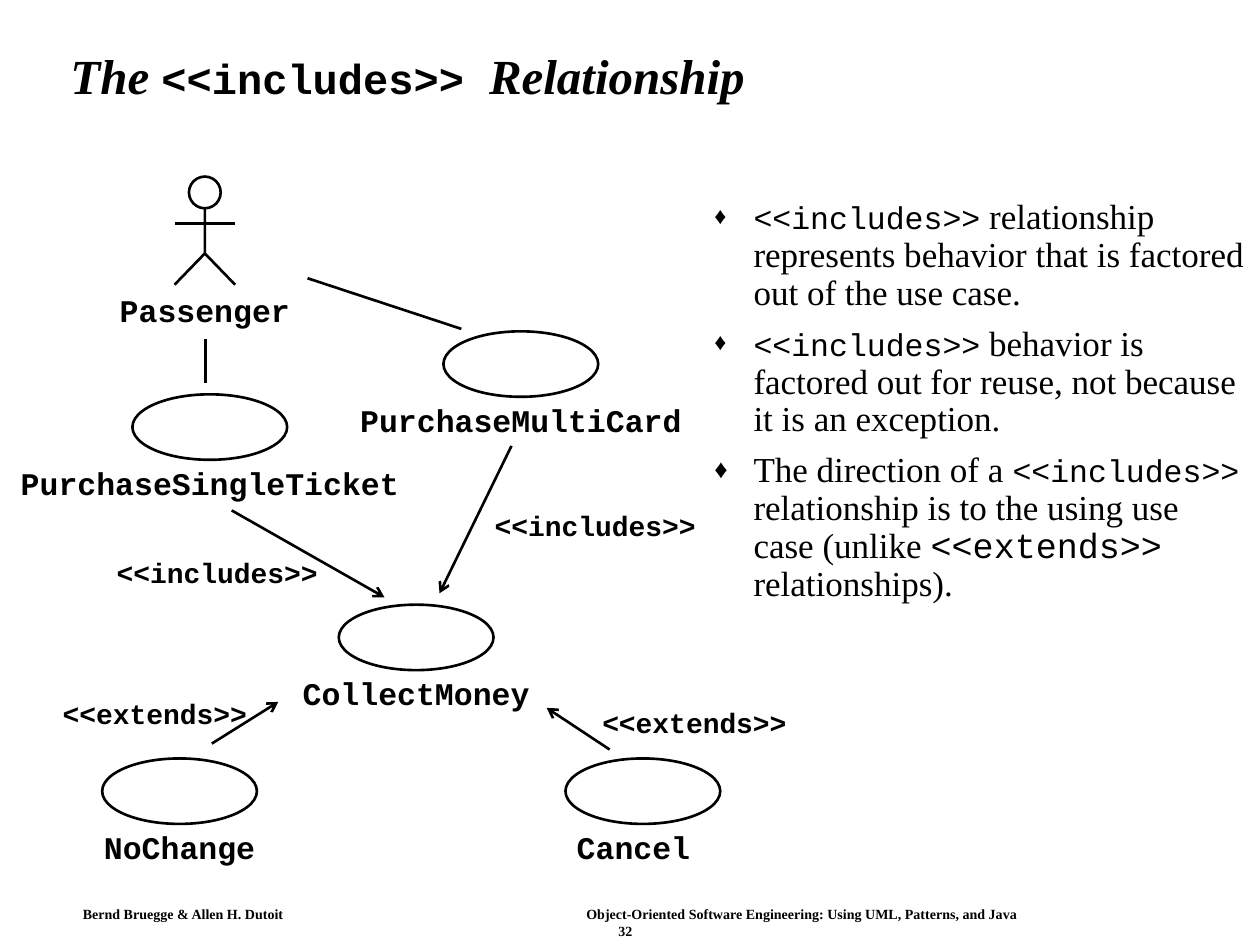
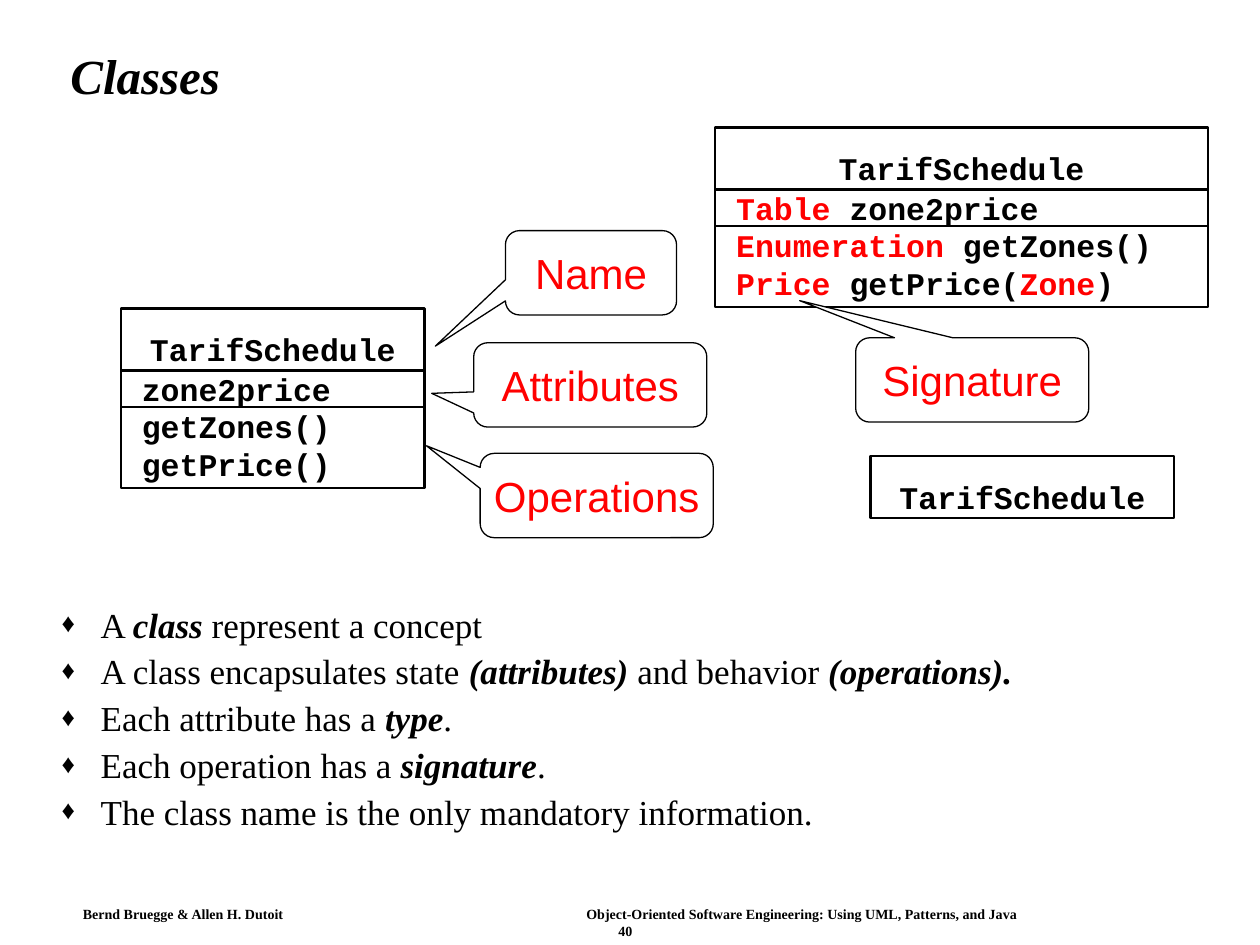
from dataclasses import dataclass, replace

from lxml.etree import SubElement
from pptx import Presentation
from pptx.dml.color import RGBColor
from pptx.enum.shapes import MSO_CONNECTOR, MSO_SHAPE
from pptx.enum.text import MSO_ANCHOR, MSO_AUTO_SIZE, PP_ALIGN
from pptx.oxml.ns import qn
from pptx.util import Cm, Pt

BLACK = RGBColor(0, 0, 0)
RED = RGBColor(255, 0, 0)
WHITE = RGBColor(255, 255, 255)


@dataclass(frozen=True)
class Style:
    font: str
    size: float
    bold: bool = False
    italic: bool = False
    color: RGBColor = BLACK


@dataclass(frozen=True)
class Theme:
    title: Style = Style("Times New Roman", 28, True, True)
    title_code: Style = Style("Courier New", 24, True)
    body: Style = Style("Times New Roman", 20)
    term: Style = Style("Times New Roman", 20, True, True)
    code: Style = Style("Courier New", 18)
    big_code: Style = Style("Courier New", 20)
    label: Style = Style("Courier New", 18, True)
    type_name: Style = Style("Courier New", 18, True, color=RED)
    stereotype: Style = Style("Courier New", 16, True)
    callout: Style = Style("Arial", 24, color=RED)
    footer: Style = Style("Times New Roman", 8, True)
    diagram_line: float = 1.5
    class_line: float = 1.25
    callout_line: float = 0.75


T = Theme()
TITLE_BOX = (1.17, 0.61, 22.66, 1.96)
FOOTER_BOX = (1.47, 18.16, 22.28, 0.87)
AUTHORS = "Bernd Bruegge & Allen H. Dutoit"
BOOK = "Object-Oriented Software Engineering: Using UML, Patterns, and Java"


# Text helpers
def write(p, runs, align=PP_ALIGN.LEFT):
    """Fill a paragraph with (text, style) runs."""
    p.alignment = align
    for text, style in runs:
        r = p.add_run()
        r.text = text
        f = r.font
        f.name, f.size = style.font, Pt(style.size)
        f.bold, f.italic = style.bold, style.italic
        f.color.rgb = style.color


def set_frame(tf, anchor=MSO_ANCHOR.TOP, wrap=False, insets=(0, 0, 0, 0)):
    tf.auto_size = MSO_AUTO_SIZE.NONE
    tf.vertical_anchor, tf.word_wrap = anchor, wrap
    tf.margin_left, tf.margin_top, tf.margin_right, tf.margin_bottom = map(Cm, insets)


def write_lines(tf, lines, align=PP_ALIGN.LEFT):
    for i, runs in enumerate(lines):
        write(tf.add_paragraph() if i else tf.paragraphs[0], runs, align)


def place(sp, box):
    sp.left, sp.top, sp.width, sp.height = map(Cm, box)


def add_label(s, text, cx, cy, style):
    """Monospaced text centred on a point; a letter is 0.6 em wide."""
    w, h = len(text) * style.size * 0.6 * 2.54 / 72, 0.76
    tf = s.shapes.add_textbox(Cm(cx - w / 2), Cm(cy - h / 2), Cm(w), Cm(h)).text_frame
    set_frame(tf, MSO_ANCHOR.MIDDLE)
    write(tf.paragraphs[0], [(text, style)], PP_ALIGN.CENTER)


# Shape helpers
def outline(sp, width, fill=None):
    sp.shadow.inherit = False
    sp.line.color.rgb, sp.line.width = BLACK, Pt(width)
    if fill is None:
        sp.fill.background()
    else:
        sp.fill.solid()
        sp.fill.fore_color.rgb = fill


def add_preset(s, kind, box, width, fill=None):
    sp = s.shapes.add_shape(kind, *map(Cm, box))
    outline(sp, width, fill)
    return sp


def add_line(s, x1, y1, x2, y2, arrow=False):
    c = s.shapes.add_connector(MSO_CONNECTOR.STRAIGHT, Cm(x1), Cm(y1), Cm(x2), Cm(y2))
    c.line.color.rgb, c.line.width = BLACK, Pt(T.diagram_line)
    if arrow:
        SubElement(c.line._ln, qn("a:tailEnd"), type="arrow")
    SubElement(c._element.spPr, qn("a:effectLst"))


# Parts every slide has
def add_bullets(body, box, items, spacing):
    place(body, box)
    tf = body.text_frame
    set_frame(tf, wrap=True, insets=(0.25, 0.13, 0.25, 0.13))
    write_lines(tf, items)
    for p in tf.paragraphs:
        p.line_spacing, p.space_before = spacing, Pt(7.5)
        pPr = p._p.get_or_add_pPr()
        pPr.set("marL", str(Cm(0.79)))
        pPr.set("indent", str(-Cm(0.79)))
        SubElement(SubElement(pPr, qn("a:buClr")), qn("a:srgbClr"), val=str(BLACK))
        SubElement(pPr, qn("a:buSzPct"), val="75000")
        SubElement(pPr, qn("a:buChar"), char="♦")


def add_footer(s, box, number):
    tf = s.shapes.add_textbox(*map(Cm, box)).text_frame
    set_frame(tf, wrap=True, insets=(0.2, 0.1, 0.2, 0.1))
    write(tf.paragraphs[0], [(f"{AUTHORS}\t{BOOK}", T.footer)])
    tabs = SubElement(tf.paragraphs[0]._p.get_or_add_pPr(), qn("a:tabLst"))
    SubElement(tabs, qn("a:tab"), pos=str(Cm(10.15)), algn="l")
    write(tf.add_paragraph(), [(str(number), T.footer)], PP_ALIGN.CENTER)


def add_slide(prs, title, number, body_box, bullets, spacing):
    s = prs.slides.add_slide(prs.slide_layouts[1])
    place(s.shapes.title, TITLE_BOX)
    tf = s.shapes.title.text_frame
    set_frame(tf, MSO_ANCHOR.MIDDLE, True, (0.25, 0.13, 0.25, 0.13))
    write(tf.paragraphs[0], title)
    tf.paragraphs[0].line_spacing = 0.9
    add_bullets(s.placeholders[1], body_box, bullets, spacing)
    add_footer(s, FOOTER_BOX, number)
    return s


# Use case diagram
def add_actor(s, name, cx, y):
    head, arm, neck, hip, foot = 0.64, 0.61, 0.45, 1.55, 2.18
    fb = s.shapes.build_freeform(Cm(cx), Cm(y + neck))
    fb.add_line_segments([(Cm(cx), Cm(y + hip)), (Cm(cx - arm), Cm(y + foot))], close=False)
    outline(fb.convert_to_shape(), T.diagram_line)
    add_line(s, cx, y + hip, cx + arm, y + foot)
    add_line(s, cx - arm, y + 0.94, cx + arm, y + 0.94)
    add_preset(s, MSO_SHAPE.OVAL, (cx - head / 2, y, head, head), T.diagram_line, WHITE)
    add_label(s, name, cx, y + 2.69, T.label)


def add_use_case(s, name, cx, y, label_shift=0):
    w, h = 3.12, 1.32
    add_preset(s, MSO_SHAPE.OVAL, (cx - w / 2, y, w, h), T.diagram_line)
    add_label(s, name, cx + label_shift, y + 1.78, T.label)


def add_use_case_diagram(s, x, y):
    add_actor(s, "Passenger", x + 3.73, y + 0.06)
    use_cases = [
        ("PurchaseSingleTicket", 3.83, 4.45, 0),
        ("PurchaseMultiCard", 10.1, 3.18, 0),
        ("CollectMoney", 7.99, 8.69, 0),
        ("NoChange", 3.22, 11.79, 0),
        ("Cancel", 12.56, 11.79, -0.19),
    ]
    for name, cx, top, shift in use_cases:
        add_use_case(s, name, x + cx, y + top, shift)
    # Actor associations
    for x1, y1, x2, y2 in [(3.74, 3.33, 3.74, 4.22), (5.8, 2.11, 8.9, 3.13)]:
        add_line(s, x + x1, y + y1, x + x2, y + y2)
    # Stereotyped arrows: ends, then label centre
    relations = [
        ("<<includes>>", (9.91, 5.49, 8.46, 8.46), (11.6, 7.1)),
        ("<<includes>>", (4.27, 6.79, 7.35, 8.54), (3.98, 8.04)),
        ("<<extends>>", (3.87, 11.49, 5.21, 10.65), (2.72, 10.89)),
        ("<<extends>>", (11.89, 11.61, 10.62, 10.77), (13.6, 11.07)),
    ]
    for name, (x1, y1, x2, y2), (cx, cy) in relations:
        add_line(s, x + x1, y + y1, x + x2, y + y2, arrow=True)
        add_label(s, name, x + cx, y + cy, T.stereotype)


# Class diagram
def add_class(s, x, y, w, attributes=(), operations=()):
    compartments = [
        (1.25, [[("TarifSchedule", T.label)]], PP_ALIGN.CENTER, MSO_ANCHOR.BOTTOM),
        (0.74, attributes, PP_ALIGN.LEFT, MSO_ANCHOR.MIDDLE),
        (1.63, operations, PP_ALIGN.LEFT, MSO_ANCHOR.TOP),
    ]
    for h, lines, align, anchor in compartments:
        if not lines:
            continue
        sp = add_preset(s, MSO_SHAPE.RECTANGLE, (x, y, w, h), T.class_line)
        side = 0.42 if align == PP_ALIGN.LEFT else 0
        set_frame(sp.text_frame, anchor, insets=(side, 0, 0, 0.05 if not side else 0))
        write_lines(sp.text_frame, lines, align)
        y += h


def add_callout(s, text, box, tip):
    sp = add_preset(s, MSO_SHAPE.ROUNDED_RECTANGULAR_CALLOUT, box, T.callout_line, WHITE)
    sp.adjustments[0], sp.adjustments[1] = tip
    set_frame(sp.text_frame, MSO_ANCHOR.MIDDLE)
    write(sp.text_frame.paragraphs[0], [(text, T.callout)], PP_ALIGN.CENTER)


def add_class_diagram(s, x, y):
    name, kind = T.label, T.type_name
    add_class(s, x + 0.04, y + 3.72, 6.12, [[("zone2price", name)]],
              [[("getZones()", name)], [("getPrice()", name)]])
    add_class(s, x + 12.02, y + 0.07, 9.93,
              [[("Table", kind), (" zone2price", name)]],
              [[("Enumeration", kind), (" getZones()", name)],
               [("Price", kind), (" getPrice(", name), ("Zone", kind), (")", name)]])
    add_class(s, x + 15.15, y + 6.69, 6.12)
    callouts = [
        ("Name", 7.79, 2.15, 3.45, (-0.91, 0.87)),
        ("Attributes", 7.15, 4.41, 4.7, (-0.68, 0.1)),
        ("Operations", 7.28, 6.64, 4.7, (-0.73, -0.59)),
        ("Signature", 14.85, 4.31, 4.7, (-0.74, -0.94)),
    ]
    for text, left, top, w, tip in callouts:
        add_callout(s, text, (x + left, y + top, w, 1.7), tip)


# Slides
def build_includes_slide(prs):
    body, code = T.body, T.code
    bullets = [
        [("<<includes>>", code),
         (" relationship represents behavior that is factored out of the use case.", body)],
        [("<<includes>>", code),
         (" behavior is factored out for reuse, not because it is an exception.", body)],
        [("The direction of a ", body), ("<<includes>>", code),
         (" relationship is to the using use case (unlike ", body),
         ("<<extends>>", T.big_code), (" relationships).", body)],
    ]
    title = [("The ", T.title), ("<<includes>> ", T.title_code), ("Relationship", T.title)]
    s = add_slide(prs, title, 32, (14.15, 3.89, 11.25, 13.33), bullets, 0.9)
    add_use_case_diagram(s, 0.4, 3.5)


def build_classes_slide(prs):
    body, term = T.body, T.term
    bullets = [
        [("A ", body), ("class", term), (" represent a concept", body)],
        [("A class encapsulates state ", body), ("(attributes)", term),
         (" and behavior ", body), ("(operations).", term)],
        [("Each attribute has a ", body), ("type", term), (".", body)],
        [("Each operation has a ", body), ("signature", term), (".", body)],
        [("The class name is the only mandatory information.", body)],
    ]
    s = add_slide(prs, [("Classes", T.title)], 40, (0.99, 12.19, 22.94, 5.08), bullets, 0.8)
    add_class_diagram(s, 2.4, 2.5)


def main():
    prs = Presentation()
    prs.slide_width, prs.slide_height = Cm(25.4), Cm(19.05)
    build_includes_slide(prs)
    build_classes_slide(prs)
    prs.save("out.pptx")


if __name__ == "__main__":
    main()
